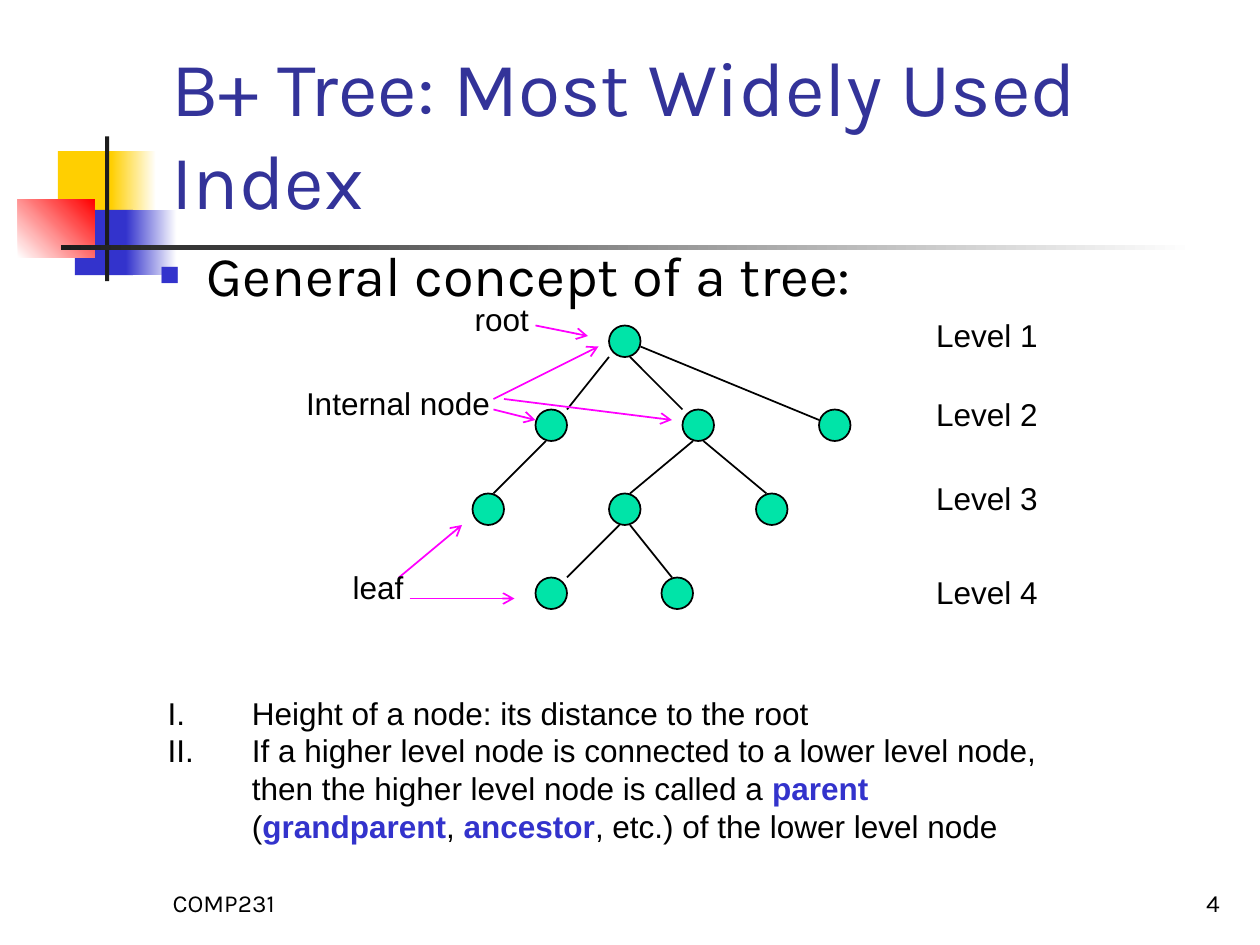
from lxml.etree import SubElement as Sub
from pptx import Presentation
from pptx.dml.color import RGBColor as RGB
from pptx.enum.shapes import MSO_CONNECTOR as LINK, MSO_SHAPE as SHAPE
from pptx.enum.text import MSO_ANCHOR as ANCHOR, MSO_AUTO_SIZE as AUTO, PP_ALIGN as ALIGN
from pptx.oxml.ns import qn
from pptx.util import Cm, Pt

BLACK = RGB(0, 0, 0)
WHITE = RGB(255, 255, 255)
INK = RGB(0x1C, 0x1C, 0x1C)
GOLD = RGB(0xFF, 0xCF, 0x01)
BLUE = RGB(0x33, 0x33, 0xCC)
NAVY = RGB(0x33, 0x33, 0x99)
RED = RGB(0xFF, 0, 0)
GREEN = RGB(0, 0xE4, 0xA8)
PINK = RGB(0xFF, 0, 0xFF)


def grid(num):
    """Length of num steps of the tree grid, twelve to the inch."""
    return Cm(num * 2.54 / 12)


class Page:
    head, body = "Karla", "Arial"

    def __init__(self, deck):
        self.slide = deck.slides.add_slide(deck.slide_layouts[6])
        self.shapes = self.slide.shapes

    def block(self, x, y, w, h, color, end=None, angle=0):
        box = self.shapes.add_shape(SHAPE.RECTANGLE, Cm(x), Cm(y), Cm(w), Cm(h))
        box.shadow.inherit = False
        box.line.fill.background()
        if end is None:
            box.fill.solid()
            box.fill.fore_color.rgb = color
            return
        box.fill.gradient()
        box.fill.gradient_angle = angle
        for stop, tone, pos in zip(box.fill.gradient_stops, (color, end), (0, 1)):
            stop.color.rgb = tone
            stop.position = pos

    def node(self, col, row):
        dot = self.shapes.add_shape(SHAPE.OVAL, grid(col), grid(row), grid(3), grid(3))
        dot.shadow.inherit = False
        dot.fill.solid()
        dot.fill.fore_color.rgb = GREEN
        dot.line.color.rgb = BLACK
        dot.line.width = Pt(1)

    def link(self, ends, color=BLACK, arrow=False):
        line = self.shapes.add_connector(LINK.STRAIGHT, *map(grid, ends))
        line.line.color.rgb = color
        line.line.width = Pt(1)
        props = line._element.spPr
        if arrow:
            Sub(props.find(qn("a:ln")), qn("a:tailEnd"), type="arrow")
        Sub(props, qn("a:effectLst"))

    def text(self, x, y, w, h, paras, size, font, color=BLACK, wrap=True,
             anchor=ANCHOR.TOP, align=ALIGN.LEFT, auto=AUTO.NONE):
        """Each paragraph is a list of strings; every second one is a key term."""
        frame = self.shapes.add_textbox(Cm(x), Cm(y), Cm(w), Cm(h)).text_frame
        frame.word_wrap = wrap
        frame.auto_size = auto
        frame.vertical_anchor = anchor
        for num, parts in enumerate(paras):
            para = frame.add_paragraph() if num else frame.paragraphs[0]
            para.alignment = align
            for pos, part in enumerate(parts):
                run = para.add_run()
                run.text = part
                run.font.name = font
                run.font.size = Pt(size)
                run.font.bold = pos % 2 == 1
                run.font.color.rgb = BLUE if pos % 2 else color
        return frame

    def label(self, x, y, w, words):
        self.text(x, y, w, 1.02, [[words]], 18, self.body, wrap=False,
                  auto=AUTO.SHAPE_TO_FIT_TEXT)

    def foot(self, x, words, align):
        self.text(x, 17.35, 5.28, 1.27, [[words]], 14, self.head,
                  anchor=ANCHOR.BOTTOM, align=align)

    def indent(self, para, size):
        props = para._p.get_or_add_pPr()
        props.set("marL", str(Cm(size)))
        props.set("indent", str(-Cm(size)))
        return props

    def bullet(self, para):
        para.space_before = Pt(6.4)
        props = self.indent(para, 0.95)
        Sub(Sub(props, qn("a:buClr")), qn("a:srgbClr"), val=str(BLUE))
        Sub(props, qn("a:buSzPct"), val="60000")
        Sub(props, qn("a:buFont"), typeface=self.body)
        Sub(props, qn("a:buChar"), char="■")

    def roman(self, para):
        props = self.indent(para, 1.7)
        Sub(props, qn("a:buFont"), typeface=self.body)
        Sub(props, qn("a:buAutoNum"), type="romanUcPeriod")


def main():
    deck = Presentation()
    deck.slide_width, deck.slide_height = Cm(25.4), Cm(19.05)
    page = Page(deck)

    # Corner blocks and rules
    page.block(1.17, 3.05, 1.22, 1.32, GOLD)
    page.block(2.24, 3.05, 0.91, 1.32, GOLD, WHITE)
    page.block(1.51, 4.23, 1.17, 1.32, BLUE)
    page.block(2.54, 4.23, 1.02, 1.32, BLUE, WHITE)
    page.block(0.36, 4.02, 1.55, 1.18, WHITE, RED, 45)
    page.block(2.12, 2.75, 0.08, 2.92, INK)
    page.block(1.23, 4.94, 22.86, 0.1, INK, WHITE)

    # Footer, title and heading
    page.foot(3.23, "COMP231", ALIGN.LEFT)
    page.foot(19.56, "4", ALIGN.RIGHT)
    page.text(3.2, 0.59, 21.64, 4.06, [["B+ Tree: Most Widely Used Index"]],
              44, page.head, NAVY, anchor=ANCHOR.BOTTOM)
    topic = page.text(2.97, 4.72, 19.89, 11.79, [["General concept of a tree:"]],
                      32, page.head)
    page.bullet(topic.paragraphs[0])

    # Tree nodes: row, then the columns in it
    tree = {31: [58], 39: [51, 65, 78], 47: [45, 58, 72], 55: [51, 63]}
    for row, cols in tree.items():
        for col in cols:
            page.node(col, row)

    # Tree edges
    for ends in [(58, 34, 54, 39), (60, 34, 65, 39), (61, 33, 78, 40),
                 (52, 42, 47, 47), (66, 42, 60, 47), (67, 42, 73, 47),
                 (59, 50, 54, 55), (60, 50, 64, 55)]:
        page.link(ends)

    # Pointers from the names to the nodes
    for ends in [(51, 31, 56, 32), (38, 55, 44, 50), (39, 57, 49, 57),
                 (47, 39, 51, 40), (47, 38, 57, 33), (48, 38, 64, 40)]:
        page.link(ends, PINK, arrow=True)

    # Names and levels
    page.label(9.32, 5.92, 1.65, "root")
    page.label(5.92, 7.62, 4.25, "Internal node")
    page.label(6.86, 11.33, 1.65, "leaf")
    for num, top in enumerate([6.25, 7.84, 9.53, 11.43], 1):
        page.label(18.62, top, 2.6, f"Level {num}")

    # Definitions
    notes = page.text(3.13, 13.86, 18.8, 3.3, [
        ["Height of a node: its distance to the root"],
        ["If a higher level node is connected to a lower level node, "
         "then the higher level node is called a ", "parent ", "(",
         "grandparent", ", ", "ancestor", ", etc.) of the lower level node"],
    ], 18, page.body, auto=AUTO.SHAPE_TO_FIT_TEXT)
    for para in notes.paragraphs:
        page.roman(para)

    deck.save("out.pptx")


if __name__ == "__main__":
    main()
